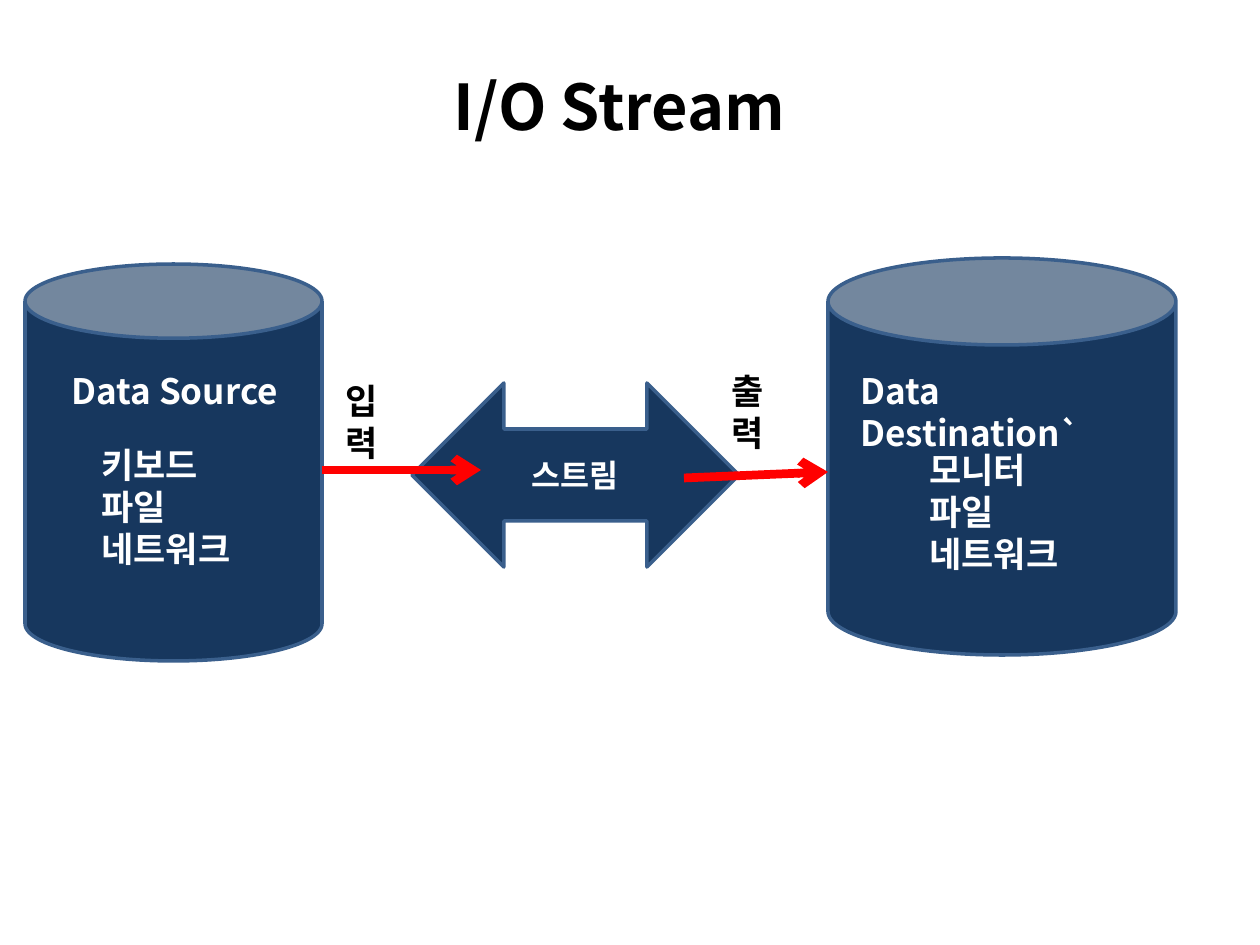
from typing import NamedTuple

from lxml import etree
from pptx import Presentation
from pptx.dml.color import RGBColor
from pptx.enum.shapes import MSO_CONNECTOR, MSO_SHAPE
from pptx.enum.text import MSO_ANCHOR, PP_ALIGN
from pptx.oxml.ns import qn
from pptx.util import Emu, Pt

EMU_PER_PIXEL = 914400 / 126
FONT = "Noto Sans CJK KR"
WHITE = RGBColor(0xFF, 0xFF, 0xFF)
BLACK = RGBColor(0x00, 0x00, 0x00)
NAVY = RGBColor(0x17, 0x37, 0x5E)
EDGE = RGBColor(0x3A, 0x5F, 0x8C)
RED = RGBColor(0xFF, 0x00, 0x00)
CAN = MSO_SHAPE.CAN
DOUBLE_ARROW = MSO_SHAPE.LEFT_RIGHT_ARROW
STRAIGHT = MSO_CONNECTOR.STRAIGHT
CENTER = PP_ALIGN.CENTER
LEFT = PP_ALIGN.LEFT
MIDDLE = MSO_ANCHOR.MIDDLE
TOP = MSO_ANCHOR.TOP


class Area(NamedTuple):
    left: int
    top: int
    width: int
    height: int


class Span(NamedTuple):
    text: str
    size: int = 20


class Label(NamedTuple):
    area: Area
    paras: list[list[Span]]
    color: RGBColor = WHITE


class Arrow(NamedTuple):
    begin: tuple[int, int]
    end: tuple[int, int]


def px(value: int) -> Emu:
    return Emu(round(value * EMU_PER_PIXEL))


def lengths(values: tuple[int, ...]) -> list[Emu]:
    return [px(value) for value in values]


def write(frame, paras: list[list[Span]], color: RGBColor, align=LEFT, anchor=TOP) -> None:
    frame.word_wrap = True
    frame.vertical_anchor = anchor
    for index, spans in enumerate(paras):
        para = frame.add_paragraph() if index else frame.paragraphs[0]
        para.alignment = align
        for span in spans:
            run = para.add_run()
            run.text = span.text
            run.font.size = Pt(span.size)
            run.font.bold = True
            run.font.name = FONT
            run.font.color.rgb = color
            east_asian = etree.SubElement(run.font._element, qn("a:ea"))
            east_asian.set("typeface", FONT)


def add_block(page, kind, area: Area):
    block = page.shapes.add_shape(kind, *lengths(area))
    block.shadow.inherit = False
    block.fill.solid()
    block.fill.fore_color.rgb = NAVY
    block.line.color.rgb = EDGE
    block.line.width = Pt(2)
    return block


def add_label(page, label: Label) -> None:
    box = page.shapes.add_textbox(*lengths(label.area))
    write(box.text_frame, label.paras, label.color)


def add_arrow(page, arrow: Arrow) -> None:
    connector = page.shapes.add_connector(STRAIGHT, *lengths(arrow.begin + arrow.end))
    connector.line.color.rgb = RED
    connector.line.width = Pt(5)
    tail = etree.SubElement(connector.line._get_or_add_ln(), qn("a:tailEnd"))
    tail.set("type", "arrow")
    etree.SubElement(connector._element.spPr, qn("a:effectLst"))


CANS = [Area(25, 264, 297, 397), Area(828, 258, 348, 397)]
LABELS = [
    Label(Area(59, 363, 238, 55), [[Span("Data Source")]]),
    Label(Area(848, 363, 318, 55), [[Span("Data Destination"), Span("`", 18)]]),
    Label(Area(89, 437, 169, 174), [[Span(item)] for item in ("키보드", "파일", "네트워크")]),
    Label(Area(917, 442, 169, 174), [[Span(item)] for item in ("모니터", "파일", "네트워크")]),
    Label(Area(333, 373, 89, 55), [[Span("입력")]], BLACK),
    Label(Area(719, 363, 89, 55), [[Span("출력")]], BLACK),
]
ARROWS = [Arrow((322, 470), (481, 470)), Arrow((684, 478), (828, 472))]

deck = Presentation()
deck.slide_width, deck.slide_height = px(1260), px(945)
page = deck.slides.add_slide(deck.slide_layouts[5])

title = page.shapes.title
title.left, title.top, title.width, title.height = lengths(Area(84, 26, 1071, 159))
write(title.text_frame, [[Span("I/O Stream", 36)]], BLACK, CENTER, MIDDLE)

for can in CANS:
    add_block(page, CAN, can)
stream = add_block(page, DOUBLE_ARROW, Area(412, 383, 327, 184))
write(stream.text_frame, [[Span("스트림", 18)]], WHITE, CENTER, MIDDLE)
for label in LABELS:
    add_label(page, label)
for arrow in ARROWS:
    add_arrow(page, arrow)

deck.save("out.pptx")
